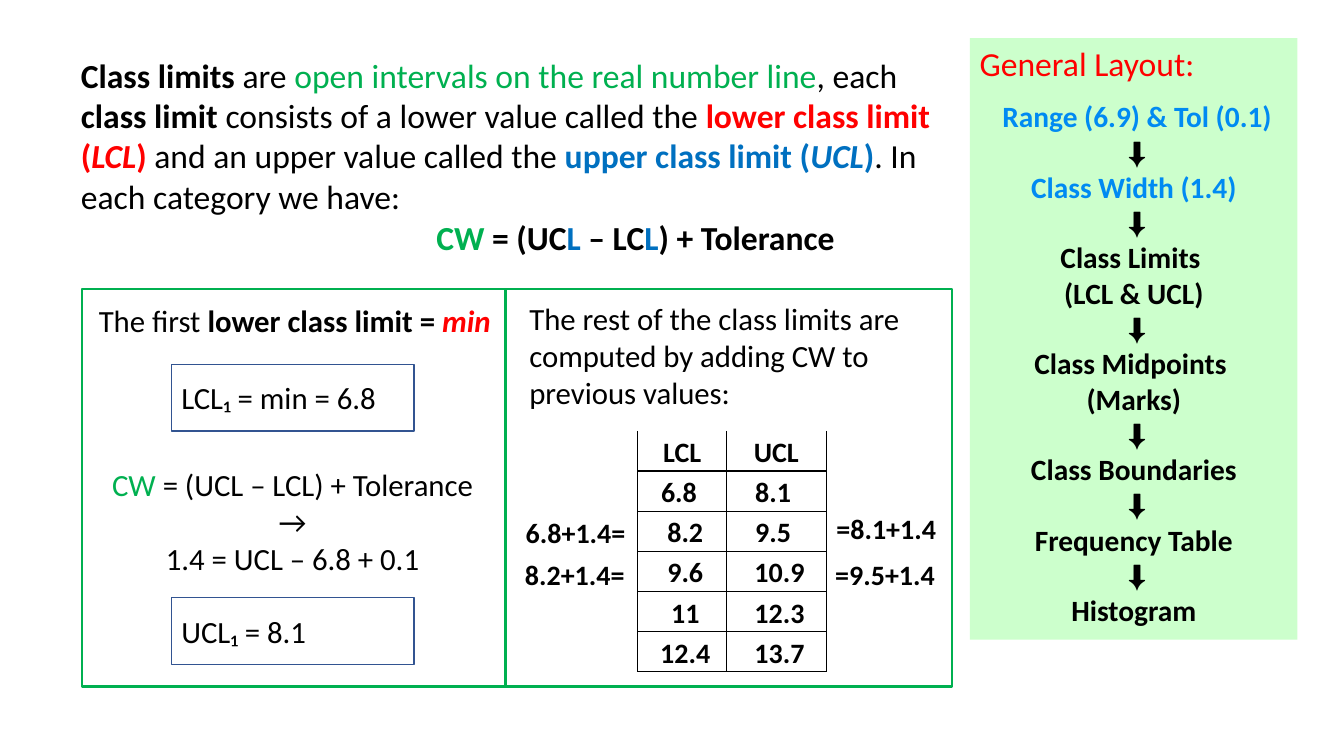
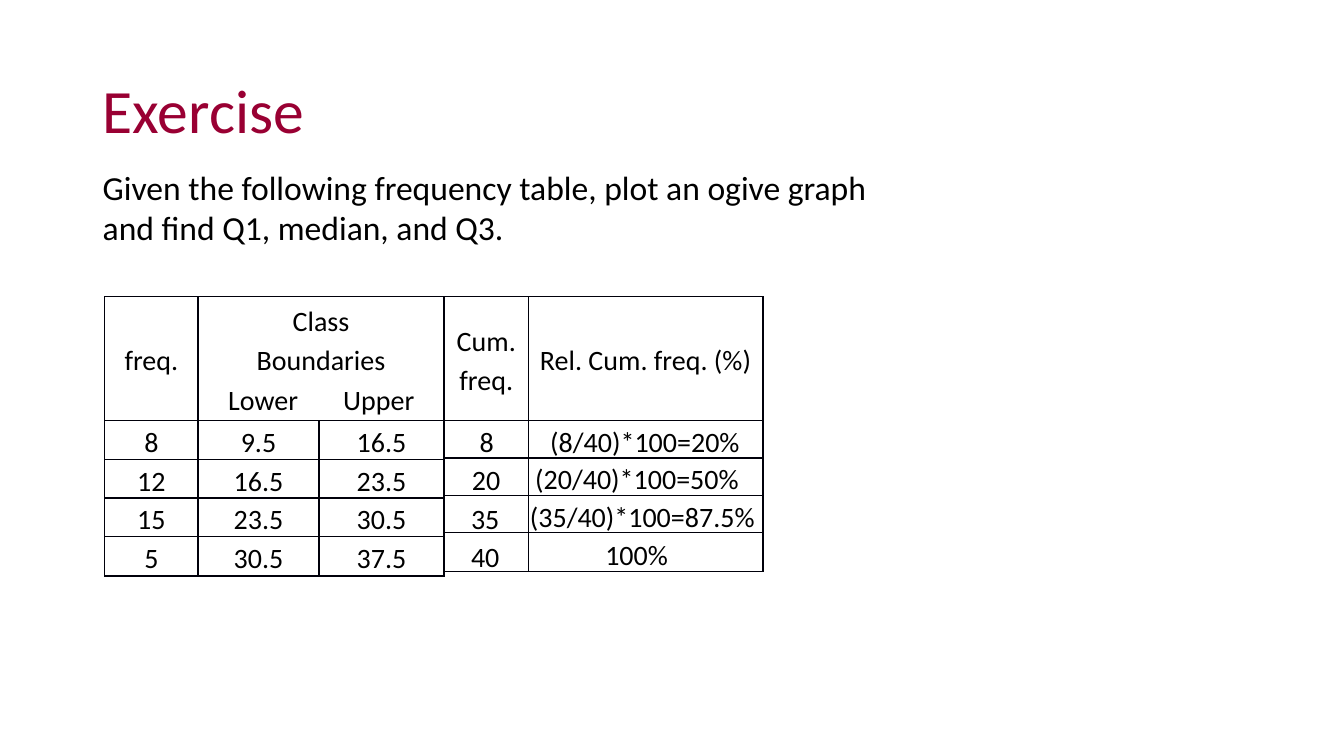
from dataclasses import dataclass
from typing import NamedTuple

from lxml import etree
from pptx import Presentation
from pptx import util as u
from pptx.dml.color import RGBColor
from pptx.enum import shapes, text
from pptx.oxml.ns import qn

FONT = "Calibri"
BLACK, RED, GREEN, BLUE = "000000", "FF0000", "00B050", "0070C0"
SKY, MINT, NAVY, WINE, INK = "008AF2", "CCFFCC", "325491", "990033", "00000A"
LEFT, MID = text.PP_ALIGN.LEFT, text.PP_ALIGN.CENTER
TOP, CENTRE, BASE = (text.MSO_ANCHOR.TOP, text.MSO_ANCHOR.MIDDLE,
                     text.MSO_ANCHOR.BOTTOM)
TIGHT, LOOSE = (0.25, 0.13), (0.3, 0.15)


class Box(NamedTuple):
    """Left, top, width and height in centimetres."""
    x: float
    y: float
    w: float
    h: float


class Run(NamedTuple):
    text: str
    hue: str = BLACK
    bold: bool = False
    ital: bool = False


@dataclass
class Style:
    size: float
    align: int = LEFT
    anchor: int = TOP
    pad: tuple = TIGHT
    space: float = 1.0
    wrap: bool = True


@dataclass
class Grid:
    x: float
    y: float
    cols: list
    rows: list
    cells: list
    style: Style
    ink: str
    bold: bool = False
    open_top: bool = False


def colour(code: str) -> RGBColor:
    return RGBColor.from_string(code)


def assign(item, values: dict) -> None:
    for name, value in values.items():
        setattr(item, name, value)


def margins(pad: tuple) -> dict:
    side, end = map(u.Cm, pad)
    return dict(margin_left=side, margin_right=side,
                margin_top=end, margin_bottom=end)


def write(frame, paras: list, style: Style) -> None:
    """Fill a text frame; each paragraph is a list of runs."""
    for i, runs in enumerate(paras):
        para = frame.paragraphs[0] if i == 0 else frame.add_paragraph()
        assign(para, dict(alignment=style.align, line_spacing=style.space))
        for part in runs:
            run = para.add_run()
            run.text = part.text
            assign(run.font, dict(name=FONT, size=u.Pt(style.size),
                                  bold=part.bold, italic=part.ital))
            run.font.color.rgb = colour(part.hue)


def label(slide, box: Box, paras: list, style: Style) -> None:
    frame = slide.shapes.add_textbox(*map(u.Cm, box)).text_frame
    assign(frame, dict(word_wrap=style.wrap, vertical_anchor=style.anchor,
                       **margins(style.pad)))
    if not style.wrap:
        frame.auto_size = text.MSO_AUTO_SIZE.SHAPE_TO_FIT_TEXT
    write(frame, paras, style)


def panel(slide, box: Box, fill: str = "", line: str = "", width: float = 1,
          paras: list = (), style: Style = Style(22)) -> None:
    shape = slide.shapes.add_shape(shapes.MSO_SHAPE.RECTANGLE,
                                   *map(u.Cm, box))
    shape.shadow.inherit = False
    if fill:
        shape.fill.solid()
        shape.fill.fore_color.rgb = colour(fill)
    else:
        shape.fill.background()
    if line:
        shape.line.color.rgb = colour(line)
        shape.line.width = u.Pt(width)
    else:
        shape.line.fill.background()
    assign(shape.text_frame, dict(word_wrap=True,
                                  vertical_anchor=style.anchor,
                                  **margins(style.pad)))
    write(shape.text_frame, paras, style)


def border(cell, ink: str, skip: str = "") -> None:
    """Rule all four sides of a cell except the skipped one."""
    props = cell._tc.get_or_add_tcPr()
    for side in "LRTB":
        line = etree.SubElement(props, qn(f"a:ln{side}"), w=str(u.Pt(1)))
        if side == skip:
            etree.SubElement(line, qn("a:noFill"))
        else:
            solid = etree.SubElement(line, qn("a:solidFill"))
            etree.SubElement(solid, qn("a:srgbClr"), val=ink)


def add_tabs(para, stops: list) -> None:
    para.alignment = LEFT
    tabs = etree.SubElement(para._p.get_or_add_pPr(), qn("a:tabLst"))
    for stop in stops:
        etree.SubElement(tabs, qn("a:tab"), pos=str(u.Cm(stop)), algn="l")


def draw_grid(slide, grid: Grid):
    size = (sum(grid.cols), sum(grid.rows))
    table = slide.shapes.add_table(
        len(grid.rows), len(grid.cols),
        *map(u.Cm, (grid.x, grid.y, *size))).table
    assign(table, dict(first_row=False, horz_banding=False))
    for col, width in zip(table.columns, grid.cols):
        col.width = u.Cm(width)
    for r, (row, height) in enumerate(zip(table.rows, grid.rows)):
        row.height = u.Cm(height)
        for cell, words in zip(row.cells, grid.cells[r]):
            border(cell, grid.ink, "T" if grid.open_top and r == 0 else "")
            cell.fill.background()
            assign(cell, dict(vertical_anchor=grid.style.anchor,
                              **margins(grid.style.pad)))
            if words:
                paras = [[Run(line, bold=grid.bold)]
                         for line in words.split("\n")]
                write(cell.text_frame, paras, grid.style)
    return table


def limits(slide) -> None:
    panel(slide, Box(24.44, 0.96, 8.26, 15.16), fill=MINT,
          paras=[[Run("General Layout:", RED)]], style=Style(24))
    steps = [(" Range (6.9) & Tol (0.1)", SKY), ("Class Width (1.4)", SKY),
             ("Class Limits \n(LCL & UCL)", BLACK),
             ("Class Midpoints \n(Marks)", BLACK),
             ("Class Boundaries", BLACK), ("Frequency Table", BLACK),
             ("Histogram", BLACK)]
    flow = []
    for words, hue in steps:
        if flow:
            flow.append([Run(" ⬇", bold=True)])
        flow += [[Run(line, hue, True)] for line in words.split("\n")]
    label(slide, Box(24.51, 2.33, 8.13, 13.77), flow,
          Style(21, MID, pad=LOOSE))

    intro = [Run("Class limits ", bold=True), Run("are "),
             Run("open intervals on the real number line", GREEN),
             Run(", each "), Run("class limit", bold=True),
             Run(" consists of a lower value called the "),
             Run("lower class limit (", RED, True),
             Run("LCL", RED, True, True), Run(") ", RED, True),
             Run("and an upper value called the "),
             Run("upper class limit (", BLUE, True),
             Run("UCL", BLUE, True, True), Run(")", BLUE, True),
             Run(". In each category we have:")]
    label(slide, Box(1.79, 1.25, 22.28, 4.37), [intro], Style(24))
    rule = [("CW ", GREEN), ("= (UC", BLACK), ("L", BLUE), (" – LC", BLACK),
            ("L", BLUE), (") + Tolerance", BLACK)]
    label(slide, Box(10.67, 5.33, 10.69, 1.27),
          [[Run(words, hue, True) for words, hue in rule]], Style(24, MID))

    for x, width in ((2.06, 10.69), (12.73, 11.26)):
        panel(slide, Box(x, 7.29, width, 10.01), line=GREEN, width=1.5)
    label(slide, Box(2.19, 7.45, 10.77, 1.27),
          [[Run("The first "), Run("lower class limit = ", bold=True),
            Run("min", RED, True, True)]], Style(22, pad=LOOSE))
    for y, words in ((9.18, "LCL₁ = min = 6.8"), (15.06, "UCL₁ = 8.1")):
        panel(slide, Box(4.32, y, 6.12, 1.68), line=NAVY,
              paras=[[Run(words)]], style=Style(22, anchor=CENTRE))
    label(slide, Box(2.36, 11.58, 10.03, 3.12),
          [[Run("CW ", GREEN), Run("= (UCL – LCL) + Tolerance")],
           [Run("→")], [Run("1.4 = UCL – 6.8 + 0.1")]],
          Style(22, MID, pad=LOOSE))

    label(slide, Box(13.09, 7.42, 10.69, 3.07),
          [[Run("The rest of the class limits are computed by adding CW "
                "to previous values:")]], Style(22))
    cells = [("LCL", "UCL"), ("6.8 ", "8.1 "), (" 8.2", "9.5 "),
             (" 9.6", " 10.9"), (" 11", " 12.3"), (" 12.4", " 13.7")]
    draw_grid(slide, Grid(16.07, 10.86, [2.24, 2.51], [1.01] * 6, cells,
                          Style(20, MID, BASE, (0.03, 0.02)), BLACK,
                          bold=True, open_top=True))
    sums = [(12.95, 12.85, "6.8+1.4="), (12.93, 13.89, "8.2+1.4="),
            (20.78, 12.73, "=8.1+1.4"), (20.75, 13.89, "=9.5+1.4")]
    for x, y, words in sums:
        label(slide, Box(x, y, 3.15, 1.17), [[Run(words, bold=True)]],
              Style(20, pad=LOOSE, wrap=False))


def ogive(slide) -> None:
    label(slide, Box(2.34, 1.02, 20.7, 3.68), [[Run("Exercise", WINE)]],
          Style(44, anchor=CENTRE, space=0.9))
    label(slide, Box(2.34, 4.07, 21, 2.31),
          [[Run("Given the following frequency table, plot an ogive graph "
                "and find Q1, median, and Q3.")]], Style(24))
    rows = [3.12, 0.94, 0.94, 0.94, 0.99]
    style = Style(20, MID, CENTRE, (0.23, 0), 1.15)
    bounds = [("freq.", "Class\nBoundaries\n\tLower\tUpper", ""),
              ("8", "9.5", "16.5"), ("12", "16.5", "23.5"),
              ("15", "23.5", "30.5"), ("5", "30.5", "37.5")]
    table = draw_grid(slide, Grid(2.64, 7.48, [2.35, 3.05, 3.15], rows,
                                  bounds, style, INK))
    head = table.cell(0, 1)
    head.merge(table.cell(0, 2))
    add_tabs(head.text_frame.paragraphs[2], [0.53, 3.43])
    totals = [("Cum.\nfreq.", "Rel. Cum. freq. (%)")] + [("", "")] * 4
    draw_grid(slide, Grid(11.2, 7.48, [2.11, 5.92], rows, totals,
                          style, INK))

    sums = [(11.84, 0.86, "8"), (11.63, 1.24, "20"),
            (11.61, 1.24, "35"), (11.61, 1.24, "40")]
    shares = [(13.59, 5.33, "(8/40)*100=20%"),
              (13.21, 5.69, "(20/40)*100=50%"),
              (13.08, 6.22, "(35/40)*100=87.5%"), (14.99, 2.11, "100%")]
    for items, step in ((sums, 0.97), (shares, 0.95)):
        for i, (x, width, words) in enumerate(items):
            label(slide, Box(x, 10.43 + step * i, width, 1.19),
                  [[Run(words)]], Style(20, MID, space=1.15, wrap=False))


def main() -> None:
    deck = Presentation()
    assign(deck, dict(slide_width=u.Cm(33.87), slide_height=u.Cm(19.05)))
    for build in (limits, ogive):
        build(deck.slides.add_slide(deck.slide_layouts[6]))
    deck.save("out.pptx")


if __name__ == "__main__":
    main()
